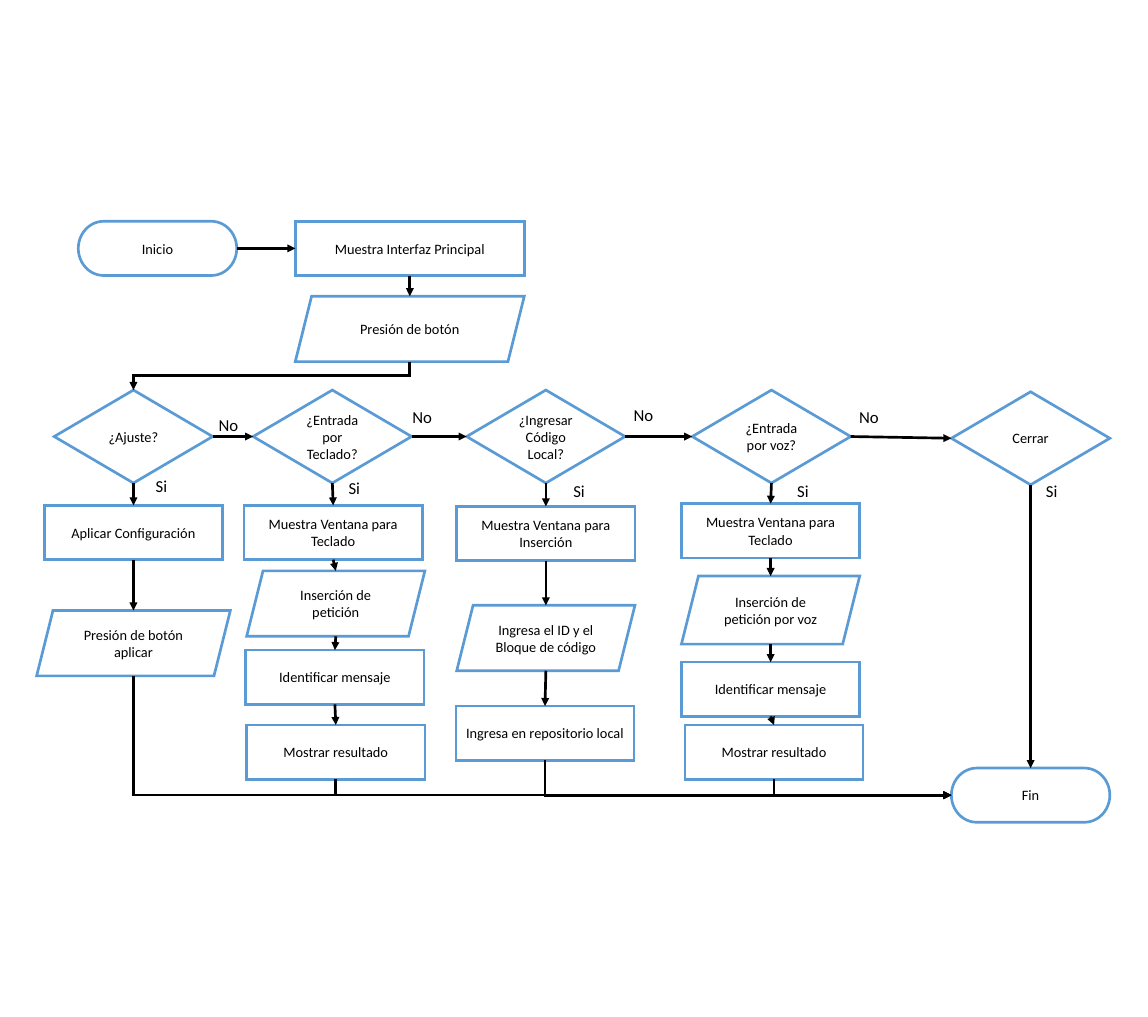
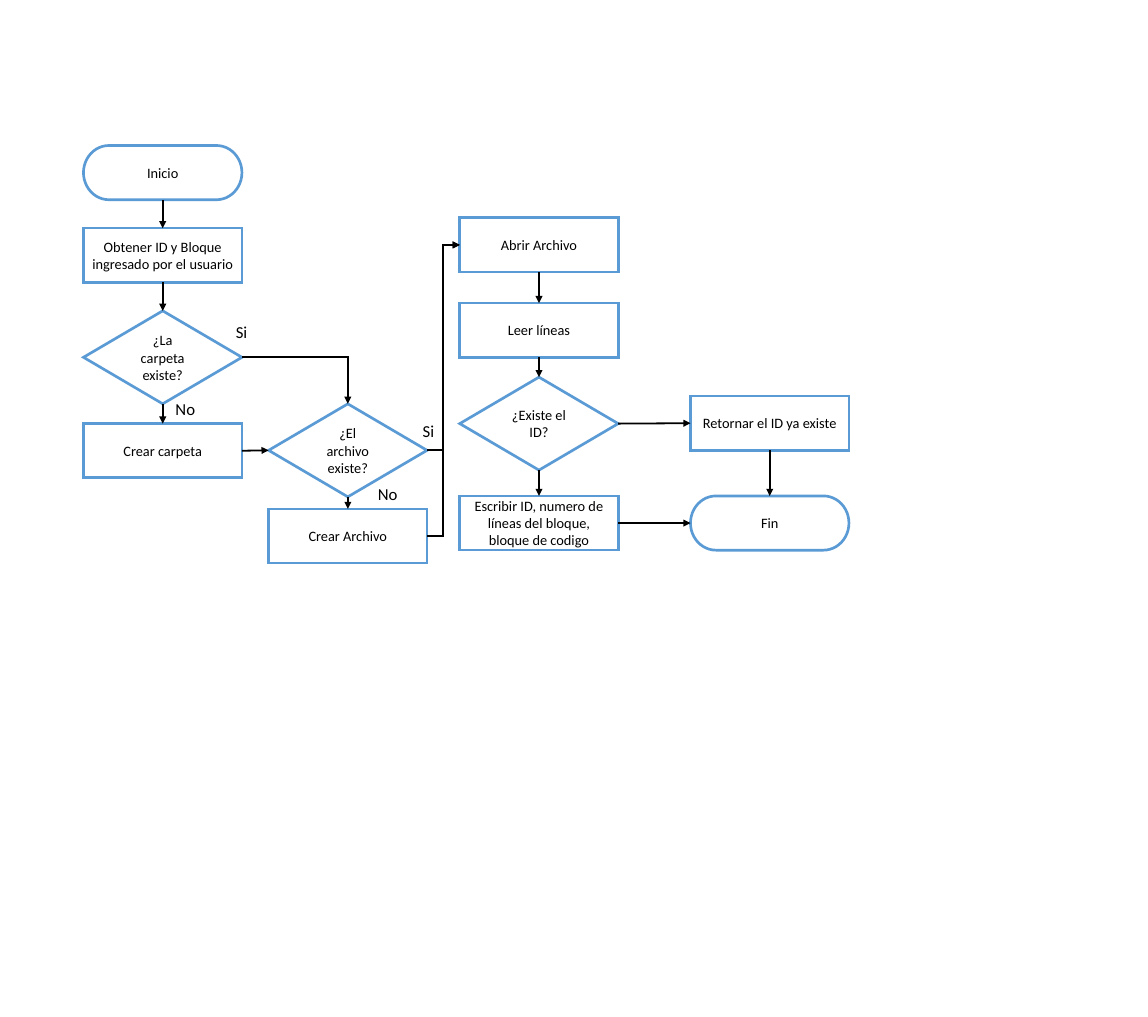
from lxml import etree
from pptx import Presentation
from pptx.dml.color import RGBColor
from pptx.enum.shapes import MSO_CONNECTOR, MSO_SHAPE
from pptx.enum.text import MSO_ANCHOR, MSO_AUTO_SIZE, PP_ALIGN
from pptx.oxml.ns import qn
from pptx.util import Inches, Pt

BLUE = RGBColor(0x5B, 0x9B, 0xD5)
BLACK = RGBColor(0, 0, 0)
WHITE = RGBColor(255, 255, 255)
TERMINATOR = MSO_SHAPE.FLOWCHART_TERMINATOR
STEP = MSO_SHAPE.RECTANGLE
DATA = MSO_SHAPE.PARALLELOGRAM
DECISION = MSO_SHAPE.DIAMOND
STRAIGHT, ELBOW = MSO_CONNECTOR.STRAIGHT, MSO_CONNECTOR.ELBOW
CENTER, MIDDLE = PP_ALIGN.CENTER, MSO_ANCHOR.MIDDLE
FIT_SHAPE = MSO_AUTO_SIZE.SHAPE_TO_FIT_TEXT
TOP, LEFT, BOTTOM, RIGHT = range(4)
VERTICAL = (TOP, BOTTOM)
CELL = Inches(0.1)
COLUMNS, ROWS = 133.33, 118.11


class Flowchart:
    sizes = {TERMINATOR: (18.4, 6.3), STEP: (20.7, 6.3),
             DATA: (20.7, 7.6), DECISION: (18.4, 10.8)}
    node_font = {"name": "Calibri", "size": Pt(12)}
    label_font = {"name": "Calibri", "size": Pt(14)}

    def __init__(self, presentation, arrow_width):
        self.slide = presentation.slides.add_slide(presentation.slide_layouts[6])
        self.arrow_width = Pt(arrow_width)

    @staticmethod
    def cells(*counts):
        return [round(count * CELL) for count in counts]

    @staticmethod
    def add_text(frame, text, font):
        paragraph = frame.paragraphs[0]
        run = paragraph.add_run()
        run.text = text
        for name, value in font.items():
            setattr(run.font, name, value)
        run.font.color.rgb = BLACK
        return paragraph

    @staticmethod
    def outline(shape, color, width):
        shape.line.color.rgb = color
        shape.line.width = width
        line = shape.line._get_or_add_ln()
        etree.SubElement(line, qn("a:miter"), lim="800000")
        return line

    def node(self, kind, text, center, top, width=None, height=None):
        default_width, default_height = self.sizes[kind]
        width, height = width or default_width, height or default_height
        shape = self.slide.shapes.add_shape(
            kind, *self.cells(center - width / 2, top, width, height))
        shape.shadow.inherit = False
        shape.fill.solid()
        shape.fill.fore_color.rgb = WHITE
        self.outline(shape, BLUE, Pt(2.25))
        shape.text_frame.word_wrap = True
        shape.text_frame.vertical_anchor = MIDDLE
        self.add_text(shape.text_frame, text, self.node_font).alignment = CENTER
        return shape

    def label(self, text, left, top):
        width = 4.3 if text == "No" else 3.4
        frame = self.slide.shapes.add_textbox(
            *self.cells(left, top, width, 3.4)).text_frame
        frame.word_wrap = False
        frame.auto_size = FIT_SHAPE
        self.add_text(frame, text, self.label_font)

    @staticmethod
    def site(shape, side):
        middle_x = shape.left + shape.width // 2
        middle_y = shape.top + shape.height // 2
        return {TOP: (middle_x, shape.top),
                LEFT: (shape.left, middle_y),
                BOTTOM: (middle_x, shape.top + shape.height),
                RIGHT: (shape.left + shape.width, middle_y)}[side]

    def arrow(self, start, end, leave=BOTTOM, enter=TOP, kind=STRAIGHT):
        begin, finish = self.site(start, leave), self.site(end, enter)
        connector = self.slide.shapes.add_connector(kind, *begin, *finish)
        glued = DATA not in (start.auto_shape_type, end.auto_shape_type)
        if glued:
            connector.begin_connect(start, leave)
            connector.end_connect(end, enter)
        if kind == ELBOW:
            self.bend(connector, begin, finish, leave, enter)
        line = self.outline(connector, BLACK, self.arrow_width)
        etree.SubElement(line, qn("a:tailEnd"), type="triangle")
        etree.SubElement(connector._element.spPr, qn("a:effectLst"))

    @staticmethod
    def bend(connector, begin, finish, leave, enter):
        properties = connector._element.spPr
        if (leave in VERTICAL) != (enter in VERTICAL):
            properties.find(qn("a:prstGeom")).set("prst", "bentConnector2")
        if leave in VERTICAL:
            across, down = finish[0] - begin[0], finish[1] - begin[1]
            connector.left = (begin[0] + finish[0] - down) // 2
            connector.top = (begin[1] + finish[1] - abs(across)) // 2
            connector.width, connector.height = down, abs(across)
            transform = properties.find(qn("a:xfrm"))
            transform.set("rot", "16200000" if across > 0 else "5400000")
            transform.set("flipH", "1" if across > 0 else "0")

    def chain(self, nodes):
        shapes = [self.node(*node) for node in nodes]
        for start, end in zip(shapes, shapes[1:]):
            self.arrow(start, end)
        return shapes


def build_main_flow(presentation):
    chart = Flowchart(presentation, 2.25)
    begin = chart.node(TERMINATOR, "Inicio", 18.3, 25.7)
    screen, button = chart.chain([
        (STEP, "Muestra Interfaz Principal", 47.6, 25.7, 26.6),
        (DATA, "Presión de botón", 47.6, 34.4, 26.6)])
    chart.arrow(begin, screen, RIGHT, LEFT)
    branches = [chart.chain(nodes) for nodes in (
        [(DECISION, "¿Ajuste?", 15.5, 45.3),
         (STEP, "Aplicar Configuración", 15.5, 58.7),
         (DATA, "Presión de botón aplicar", 15.5, 70.9, 22.5)],
        [(DECISION, "¿Entrada por Teclado?", 38.6, 45.3),
         (STEP, "Muestra Ventana para Teclado", 38.7, 58.7),
         (DATA, "Inserción de petición", 39, 66.3),
         (STEP, "Identificar mensaje", 38.9, 75.5),
         (STEP, "Mostrar resultado", 39, 84.2)],
        [(DECISION, "¿Ingresar Código Local?", 63.4, 45.3),
         (STEP, "Muestra Ventana para Inserción", 63.4, 58.8),
         (DATA, "Ingresa el ID y el Bloque de código", 63.4, 70.3),
         (STEP, "Ingresa en repositorio local", 63.3, 82)],
        [(DECISION, "¿Entrada por voz?", 89.6, 45.3),
         (STEP, "Muestra Ventana para Teclado", 89.5, 58.5),
         (DATA, "Inserción de petición por voz", 89.5, 66.9, 20.7, 7.9),
         (STEP, "Identificar mensaje", 89.5, 76.9),
         (STEP, "Mostrar resultado", 89.9, 84.2)],
        [(DECISION, "Cerrar", 119.7, 45.5),
         (TERMINATOR, "Fin", 119.7, 89.2)])]
    chart.arrow(button, branches[0][0], kind=ELBOW)
    for branch, following in zip(branches, branches[1:]):
        chart.arrow(branch[0], following[0], RIGHT, LEFT)
        chart.arrow(branch[-1], branches[-1][-1], BOTTOM, LEFT, ELBOW)
    for left, top in ((24.4, 47.7), (46.9, 46.7), (72.6, 46.5), (98.8, 46.7)):
        chart.label("No", left, top)
    for left, top in ((17.1, 54.8), (39.5, 55), (65.6, 55.3),
                      (91.6, 55.3), (120.5, 55.3)):
        chart.label("Si", left, top)


def build_storage_flow(presentation):
    chart = Flowchart(presentation, 1.5)
    width = 18.4
    folder_column, file_column, id_column, end_column = 18.9, 40.4, 62.6, 89.4
    begin, request, folder_exists, create_folder = chart.chain([
        (TERMINATOR, "Inicio", folder_column, 16.9),
        (STEP, "Obtener ID y Bloque ingresado por el usuario",
         folder_column, 26.5, width),
        (DECISION, "¿La carpeta existe?", folder_column, 36.1),
        (STEP, "Crear carpeta", folder_column, 49.2, width)])
    file_exists, create_file = chart.chain([
        (DECISION, "¿El archivo existe?", file_column, 46.9),
        (STEP, "Crear Archivo", file_column, 59.1, width)])
    open_file, read_lines, id_exists, write_block = chart.chain([
        (STEP, "Abrir Archivo", id_column, 25.3, width),
        (STEP, "Leer líneas", id_column, 35.2, width),
        (DECISION, "¿Existe el ID?", id_column, 43.8),
        (STEP, "Escribir ID, numero de líneas del bloque, bloque de codigo",
         id_column, 57.6, width)])
    return_id, finish = chart.chain([
        (STEP, "Retornar el ID ya existe", end_column, 46, width),
        (TERMINATOR, "Fin", end_column, 57.6)])
    for start, end in ((create_folder, file_exists), (id_exists, return_id),
                       (write_block, finish)):
        chart.arrow(start, end, RIGHT, LEFT)
    chart.arrow(folder_exists, file_exists, RIGHT, TOP, ELBOW)
    for start in (file_exists, create_file):
        chart.arrow(start, open_file, RIGHT, LEFT, ELBOW)
    for text, left, top in (("Si", 26.4, 36.9), ("No", 19.4, 45.8),
                            ("Si", 48.1, 48.4), ("No", 42.9, 55.7)):
        chart.label(text, left, top)


presentation = Presentation()
presentation.slide_width, presentation.slide_height = Flowchart.cells(COLUMNS, ROWS)
build_main_flow(presentation)
build_storage_flow(presentation)
presentation.save("out.pptx")
